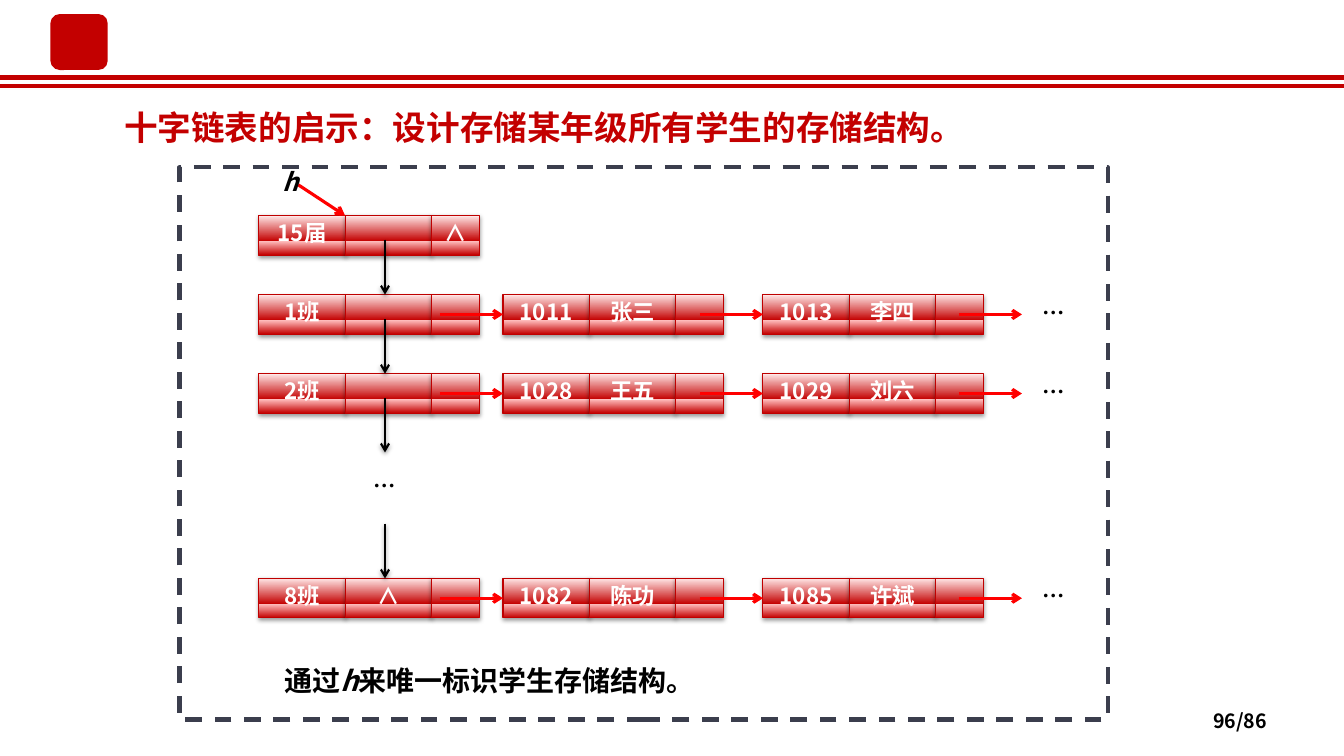
import pptx
import pptx.dml.color
import pptx.enum.dml
import pptx.enum.shapes
import pptx.enum.text
import pptx.oxml
import pptx.oxml.ns
import pptx.util

Pt = pptx.util.Pt
SHAPE = pptx.enum.shapes.MSO_SHAPE
ALIGN = pptx.enum.text.PP_ALIGN
ANCHOR = pptx.enum.text.MSO_ANCHOR
NS = pptx.oxml.ns.nsdecls("a")

COLORS = {"red": "C30000", "edge": "BF0000", "link": "FF0000", "pale": "FFBDBD",
          "palest": "FFE6E6", "black": "000000", "white": "FFFFFF", "frame": "3B3E4D"}
CELL_WIDTHS = (61.7, 61.7, 34)
CELL_H = 28.2
BLOCK_X = (185, 359.3, 545)
END_X = 730
LINK = 45.2
DOWN_X, DOWN = 275, 39.2
HEAD_Y = 154
ROWS = [
    (210.5, ("1班", "", ""), ("1011", "张三", ""), ("1013", "李四", "")),
    (267, ("2班", "", ""), ("1028", "王五", ""), ("1029", "刘六", "")),
    (413.2, ("8班", "∧", ""), ("1082", "陈功", ""), ("1085", "许斌", "")),
]


class Deck:
    """Hold the style and the current slide, and draw each kind of element."""

    def __init__(self, prs, font):
        self.font = font
        self.s = prs.slides.add_slide(prs.slide_layouts[5])

    def rgb(self, name):
        return pptx.dml.color.RGBColor.from_string(COLORS[name])

    def fill_text(self, sp, runs, size, color="black", align=ALIGN.LEFT,
                  anchor=ANCHOR.TOP, spacing=None):
        tf = sp.text_frame
        tf.word_wrap = True
        tf.auto_size = pptx.enum.text.MSO_AUTO_SIZE.NONE
        tf.vertical_anchor = anchor
        p = tf.paragraphs[0]
        p.alignment = align
        p.space_before = Pt(0)
        if spacing:
            p.line_spacing = spacing
        for text, italic in runs:
            r = p.add_run()
            r.text = text
            r.font.size = Pt(size)
            r.font.bold = True
            r.font.italic = italic
            r.font.color.rgb = self.rgb(color)
            r.font.name = self.font
            r.font._element.find(pptx.oxml.ns.qn("a:latin")).addnext(
                pptx.oxml.parse_xml(f'<a:ea {NS} typeface="{self.font}"/>'))

    def title(self, text, x, y, w, h):
        sp = self.s.shapes.title
        sp.left, sp.top, sp.width, sp.height = Pt(x), Pt(y), Pt(w), Pt(h)
        self.fill_text(sp, [(text, False)], 24, "red")

    def text(self, runs, x, y, w, h, size, **style):
        sp = self.s.shapes.add_textbox(Pt(x), Pt(y), Pt(w), Pt(h))
        self.fill_text(sp, runs, size, **style)

    def dots(self, x, y):
        self.text([("…", False)], x, y, 45.4, 23, 16, align=ALIGN.CENTER, spacing=0.8)

    def effects(self, sp, shadow):
        inner = ""
        if shadow:
            inner = ('<a:outerShdw blurRad="39400" dist="20300" dir="5400000" rotWithShape="0">'
                     f'<a:srgbClr val="{COLORS["black"]}"><a:alpha val="38000"/></a:srgbClr>'
                     '</a:outerShdw>')
        sp._element.spPr.append(
            pptx.oxml.parse_xml(f"<a:effectLst {NS}>{inner}</a:effectLst>"))

    def shape(self, kind, x, y, w, h, fill=None, line=None, width=0.75):
        sp = self.s.shapes.add_shape(kind, Pt(x), Pt(y), Pt(w), Pt(h))
        if fill:
            sp.fill.solid()
            sp.fill.fore_color.rgb = self.rgb(fill)
        else:
            sp.fill.background()
        if line:
            sp.line.color.rgb = self.rgb(line)
            sp.line.width = Pt(width)
        else:
            sp.line.fill.background()
        return sp

    def cell(self, text, x, y, w):
        sp = self.shape(SHAPE.RECTANGLE, x, y, w, CELL_H, "red", "edge")
        stops = "".join(
            f'<a:gs pos="{pos}"><a:srgbClr val="{COLORS[c]}"/></a:gs>'
            for pos, c in ((0, "red"), (35000, "pale"), (35000, "red"), (100000, "palest")))
        solid = sp._element.spPr.find(pptx.oxml.ns.qn("a:solidFill"))
        solid.getparent().replace(solid, pptx.oxml.parse_xml(
            f'<a:gradFill {NS} rotWithShape="1"><a:gsLst>{stops}</a:gsLst>'
            '<a:lin ang="16200000" scaled="0"/></a:gradFill>'))
        self.effects(sp, True)
        if text:
            self.fill_text(sp, [(text, False)], 16, "white", ALIGN.CENTER, ANCHOR.MIDDLE, 0.8)
        return sp

    def block(self, texts, x, y):
        cells = []
        for text, w in zip(texts, CELL_WIDTHS):
            cells.append(self.cell(text, x, y, w))
            x += w
        return cells

    def line(self, x1, y1, x2, y2, color, width, arrow=True, shadow=False, target=None):
        c = self.s.shapes.add_connector(
            pptx.enum.shapes.MSO_CONNECTOR.STRAIGHT, Pt(x1), Pt(y1), Pt(x2), Pt(y2))
        if target is not None:
            c.end_connect(target, 1)
        c.line.color.rgb = self.rgb(color)
        c.line.width = Pt(width)
        if arrow:
            c.line._get_or_add_ln().append(
                pptx.oxml.parse_xml(f'<a:tailEnd {NS} type="arrow"/>'))
        self.effects(c, shadow)


def main():
    prs = pptx.Presentation()
    prs.slide_width, prs.slide_height = Pt(960), Pt(540)
    d = Deck(prs, "Noto Sans CJK SC")

    for y in (55.4, 61.2):
        d.line(0, y, 960, y, "red", 3, arrow=False)
    d.effects(d.shape(SHAPE.ROUNDED_RECTANGLE, 36, 10, 41, 40, "red"), False)
    d.title("十字链表的启示：设计存储某年级所有学生的存储结构。", 81.4, 72.7, 626, 36)

    for y, *texts in ROWS:
        mid = y + CELL_H / 2
        blocks = [d.block(t, x, y) for t, x in zip(texts, BLOCK_X)]
        targets = [b[0] for b in blocks[1:]] + [None]
        for x, target in zip((*BLOCK_X[1:], END_X), targets):
            d.line(x - LINK, mid, x, mid, "link", 2.25, target=target)
        d.dots(END_X, y + 3)
    d.block(("15届", "", "∧"), BLOCK_X[0], HEAD_Y)

    for y in (171.2, 227.7, 284, 374):
        d.line(DOWN_X, y, DOWN_X, y + DOWN, "black", 1.5, shadow=True)
    d.dots(252, 337.5)
    d.line(213, 132, 246.5, HEAD_Y, "link", 2.25)
    d.text([("h", True)], 185, 119.5, 45.4, 24.5, 18, align=ALIGN.CENTER, spacing=0.8)
    d.text([("通过", False), ("h", True), ("来唯一标识学生存储结构。", False)],
           196, 475, 490, 27, 20, spacing=0.8)
    d.text([("96/86", False)], 688.3, 500.4, 224, 28.8, 14,
           align=ALIGN.RIGHT, anchor=ANCHOR.MIDDLE)
    frame = d.shape(SHAPE.RECTANGLE, 128.2, 119.5, 663, 394.5, line="frame", width=3)
    frame.line.dash_style = pptx.enum.dml.MSO_LINE.DASH
    d.effects(frame, False)
    prs.save("out.pptx")


if __name__ == "__main__":
    main()
